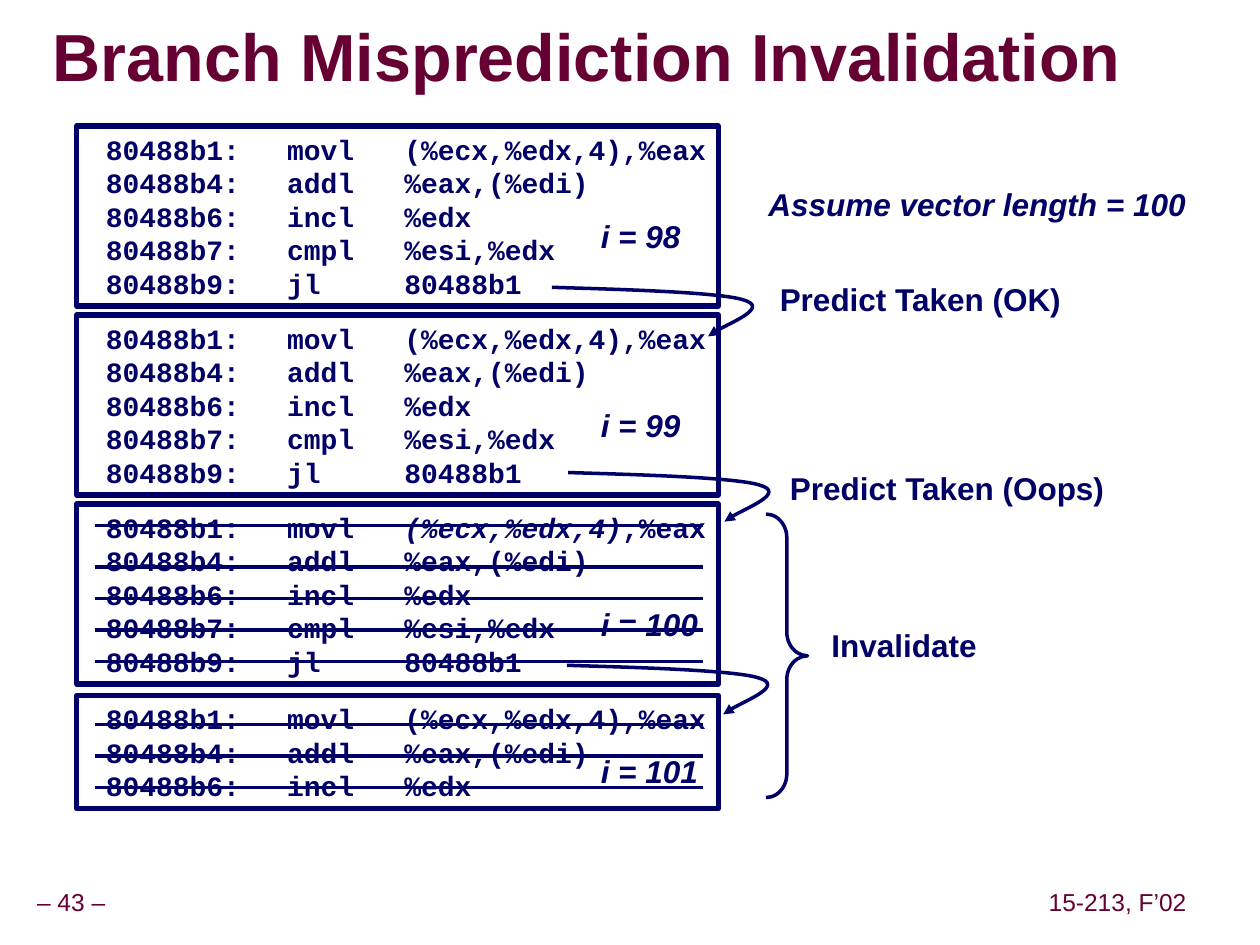
import pptx
import pptx.util
import pptx.dml.color
import pptx.enum.shapes
import pptx.enum.text
import pptx.oxml
import pptx.oxml.ns
from dataclasses import dataclass

PX = 9144  # 100 px to the inch


@dataclass
class Theme:
    navy: pptx.dml.color.RGBColor
    wine: pptx.dml.color.RGBColor
    sans: str = "Arial"
    mono: str = "Courier New"
    title: int = 38
    label: int = 18
    code: int = 16
    foot: int = 14
    frame: int = 3
    line: int = 2


color = pptx.dml.color.RGBColor.from_string
theme = Theme(navy=color("000066"), wine=color("660033"))
shape_type = pptx.enum.shapes.MSO_SHAPE
anchor = pptx.enum.text.MSO_ANCHOR
align = pptx.enum.text.PP_ALIGN
qn = pptx.oxml.ns.qn
A = 'xmlns:a="http://schemas.openxmlformats.org/drawingml/2006/main"'


def write(shape, text, size, tint, face=theme.sans, bold=True, slant=False,
          left=10, top=5):
    """Fill a shape with left-aligned text and format every run."""
    frame = shape.text_frame
    frame.text = text
    frame.word_wrap = True
    frame.vertical_anchor = anchor.TOP
    frame.margin_left, frame.margin_right = left * PX, 0
    frame.margin_top = frame.margin_bottom = top * PX
    for para in frame.paragraphs:
        para.alignment = align.LEFT
        for run in para.runs:
            font = run.font
            font.name, font.size = face, pptx.util.Pt(size)
            font.bold, font.italic = bold, slant
            font.color.rgb = tint


def stroke(shape, width):
    """Give a shape or connector a plain navy line and no shadow."""
    shape.line.color.rgb = theme.navy
    shape.line.width = pptx.util.Pt(width)
    props = shape._element.spPr
    if props.find(qn("a:effectLst")) is None:
        props.append(pptx.oxml.parse_xml(f"<a:effectLst {A}/>"))


deck = pptx.Presentation()
deck.slide_width, deck.slide_height = 1000 * PX, 750 * PX
slide = deck.slides.add_slide(deck.slide_layouts[5])
shapes = slide.shapes

# Title with a text shadow
title = shapes.title
title.left, title.top, title.width, title.height = (
    n * PX for n in (42, 17, 869, 63))
write(title, "Branch Misprediction Invalidation", theme.title, theme.wine,
      left=0, top=0)
title.text_frame.vertical_anchor = anchor.MIDDLE
para = title.text_frame.paragraphs[0]
para.line_spacing = 0.87
fill = para.runs[0].font._element.find(qn("a:solidFill"))
fill.addnext(pptx.oxml.parse_xml(
    f'<a:effectLst {A}><a:outerShdw dist="71842" dir="2700000">'
    '<a:srgbClr val="969696"/></a:outerShdw></a:effectLst>'))

# Footer
for left, width, text in ((-9, 131, "– 43 –"), (827, 120, "15-213, F’02")):
    box = shapes.add_textbox(left * PX, 700 * PX, width * PX, 31 * PX)
    write(box, text, theme.foot, theme.wine, bold=False, left=0)
    box.text_frame.vertical_anchor = anchor.MIDDLE
    box.text_frame.paragraphs[0].alignment = align.CENTER

# Loop passes
code = [
    " 80488b1:\tmovl   (%ecx,%edx,4),%eax",
    " 80488b4:\taddl   %eax,(%edi)",
    " 80488b6:\tincl   %edx",
    " 80488b7:\tcmpl   %esi,%edx",
    " 80488b9:\tjl     80488b1",
]
tabs = (f'<a:tabLst {A}><a:tab pos="{75 * PX}" algn="l"/>'
        f'<a:tab pos="{157 * PX}" algn="l"/></a:tabLst>')
passes = []
for top, height, count in ((100, 143, 5), (250, 143, 5), (400, 143, 5),
                           (552, 90, 3)):
    box = shapes.add_shape(shape_type.RECTANGLE, 61 * PX, top * PX,
                           509 * PX, height * PX)
    box.fill.background()
    stroke(box, theme.frame)
    write(box, "\n".join(code[:count]), theme.code, theme.navy, theme.mono)
    for para in box.text_frame.paragraphs:
        para._p.get_or_add_pPr().append(pptx.oxml.parse_xml(tabs))
    passes.append(box)

# The third pass sets its memory operand in italics
para = passes[2].text_frame.paragraphs[0]
operand = "(%ecx,%edx,4)"
head, tail = code[0].split(operand)
write_at = para.runs[0]
write_at.text = head
for text, slant in ((operand, True), (tail, False)):
    run = para.add_run()
    run.text = text
    font = run.font
    font.name, font.size = theme.mono, pptx.util.Pt(theme.code)
    font.bold, font.italic = True, slant
    font.color.rgb = theme.navy

# Labels
for left, top, width, text, slant in (
        (467, 167, 83, "i = 98", True),
        (467, 317, 83, "i = 99", True),
        (467, 475, 97, "i = 100", True),
        (467, 592, 97, "i = 101", True),
        (600, 142, 351, "Assume vector length = 100", True),
        (609, 217, 245, "Predict Taken (OK)", False),
        (617, 367, 271, "Predict Taken (Oops)", False),
        (650, 492, 135, "Invalidate", False)):
    box = shapes.add_textbox(left * PX, top * PX, width * PX, 40 * PX)
    write(box, text, theme.label, theme.navy, slant=slant)

# Curved jump arrows: each three points make one Bezier segment
bend = ((25, 1), (131, 3), (152, 10), (173, 16), (130, 33), (124, 39))
for left, top in ((438, 228), (451, 375), (450, 528)):
    pen = shapes.build_freeform(left, top, scale=PX)
    pen.add_line_segments([(left + x, top + y) for x, y in bend], close=False)
    arrow = pen.convert_to_shape()
    arrow.fill.background()
    stroke(arrow, theme.line)
    arrow.line._get_or_add_ln().append(
        pptx.oxml.parse_xml(f'<a:tailEnd {A} type="triangle"/>'))
    steps = list(arrow._element.iter(qn("a:lnTo")))
    for first in (0, 3):
        curve = pptx.oxml.parse_xml(f"<a:cubicBezTo {A}/>")
        steps[first].addprevious(curve)
        for step in steps[first:first + 3]:
            curve.append(step[0])
            step.getparent().remove(step)

# Strike out the two wrong passes
for y in (417, 450, 475, 500, 525, 575, 600, 625):
    strike = shapes.add_connector(pptx.enum.shapes.MSO_CONNECTOR.STRAIGHT,
                                  75 * PX, y * PX, 558 * PX, y * PX)
    stroke(strike, theme.line)

brace = shapes.add_shape(shape_type.RIGHT_BRACE, 608 * PX, 408 * PX,
                         33 * PX, 225 * PX)
brace.adjustments[0] = 0.57
brace.fill.background()
stroke(brace, theme.line)

deck.save("out.pptx")
